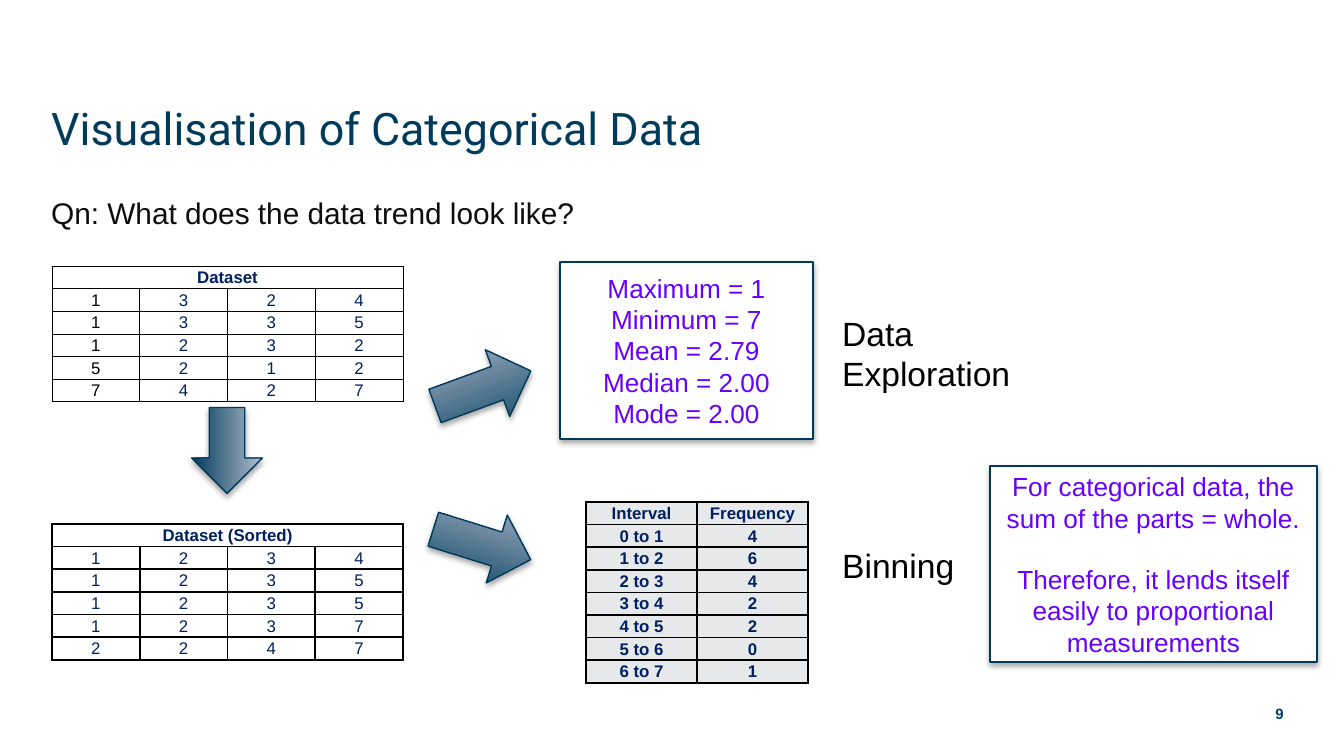
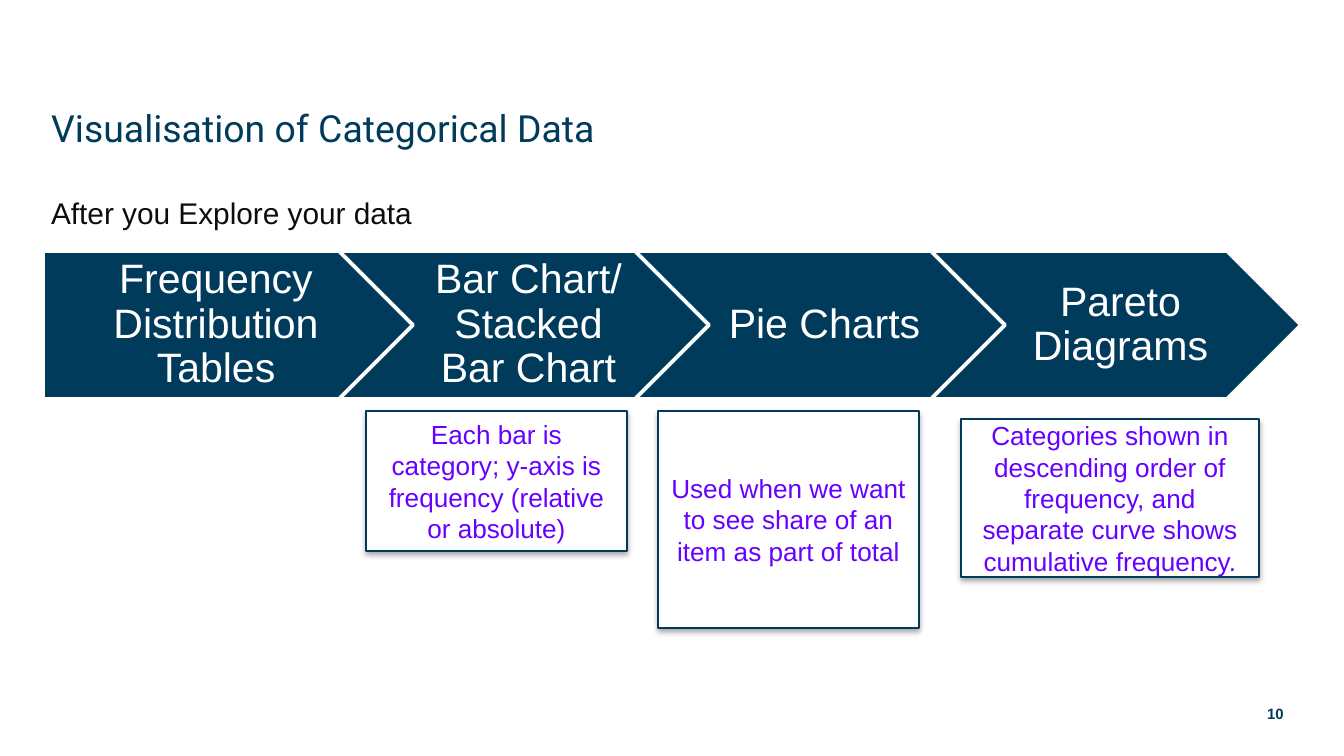
from dataclasses import dataclass

from lxml import etree
from pptx import Presentation
from pptx import util as u
from pptx.dml.color import RGBColor
from pptx.enum import shapes, text
from pptx.oxml import ns

SCALE = 914400 / 134.4


def px(length):
    return u.Emu(round(length * SCALE))


def add_xml(parent, tag, **attributes):
    return etree.SubElement(parent, ns.qn(tag), attributes)


@dataclass(frozen=True)
class Theme:
    brand: str = "003B5C"
    outline: str = "003A5A"
    mist: str = "B3BDCE"
    ink: str = "0D0D0D"
    black: str = "000000"
    white: str = "FFFFFF"
    navy: str = "002060"
    violet: str = "6600FF"
    grey: str = "E7E8EA"
    body_font: str = "Arial"
    title_font: str = "Roboto"
    number_size: int = 8
    cell_size: int = 9
    callout_size: int = 14
    lead_size: int = 16
    label_size: int = 18
    small_title_size: int = 20
    step_size: int = 22
    title_size: int = 24


THEME = Theme()
SHAPE = shapes.MSO_SHAPE
ALIGN = text.PP_ALIGN
ANCHOR = text.MSO_ANCHOR


class SlideBuilder:
    def __init__(self, deck, theme):
        self.deck = deck
        self.theme = theme
        self.page = None

    def start(self, number, title, title_size, lead):
        theme = self.theme
        self.page = self.deck.slides.add_slide(self.deck.slide_layouts[6])
        self.text((1008, 694, 289, 40), [str(number)], theme.number_size, theme.brand,
                  bold=True, align=ALIGN.RIGHT, frame={"vertical_anchor": ANCHOR.MIDDLE})
        self.text((38, 67, 1259, 121), [title], title_size, theme.brand,
                  font=theme.title_font, frame={"vertical_anchor": ANCHOR.MIDDLE})
        self.text((38, 188, 1259, 43), [lead], theme.lead_size, theme.ink)

    def add_lines(self, frame, lines, size, color, font=None, bold=False, **paragraph):
        for index, line in enumerate(lines):
            para = frame.add_paragraph() if index else frame.paragraphs[0]
            for name, value in paragraph.items():
                if name != "space_before" or index:
                    setattr(para, name, value)
            span = para.add_run()
            span.text = line
            style = {"name": font or self.theme.body_font, "size": u.Pt(size), "bold": bold}
            for name, value in style.items():
                setattr(span.font, name, value)
            span.font.color.rgb = RGBColor.from_string(color)

    def text(self, place, lines, size, color, align=ALIGN.LEFT, frame=None, **style):
        box = self.page.shapes.add_textbox(*map(px, place))
        for name, value in ({"word_wrap": True} | (frame or {})).items():
            setattr(box.text_frame, name, value)
        self.add_lines(box.text_frame, lines, size, color, alignment=align, **style)

    def label(self, place, lines):
        self.text(place, lines, self.theme.label_size, self.theme.black,
                  frame={"word_wrap": False, "auto_size": text.MSO_AUTO_SIZE.SHAPE_TO_FIT_TEXT})

    def shape(self, kind, place, fill, line, weight):
        box = self.page.shapes.add_shape(kind, *map(px, place))
        box.shadow.inherit = False
        box.fill.solid()
        box.fill.fore_color.rgb = RGBColor.from_string(fill)
        box.line.color.rgb = RGBColor.from_string(line)
        box.line.width = u.Pt(weight)
        return box

    def raised(self, kind, place):
        box = self.shape(kind, place, self.theme.white, self.theme.outline, 0.75)
        effects = box._element.spPr.find(ns.qn("a:effectLst"))
        shadow = add_xml(effects, "a:outerShdw", blurRad="40000", dist="23000",
                         dir="5400000", rotWithShape="0")
        tint = add_xml(shadow, "a:srgbClr", val=self.theme.black)
        add_xml(tint, "a:alpha", val="35000")
        return box

    def callout(self, place, lines, gap=0):
        frame = self.raised(SHAPE.RECTANGLE, place).text_frame
        for name, value in {"word_wrap": True, "vertical_anchor": ANCHOR.MIDDLE}.items():
            setattr(frame, name, value)
        self.add_lines(frame, lines, self.theme.callout_size, self.theme.violet,
                       alignment=ALIGN.CENTER, space_before=u.Pt(gap))

    def arrow(self, place, rotation):
        box = self.raised(SHAPE.RIGHT_ARROW, place)
        box.rotation = rotation
        box.fill.gradient()
        box.fill.gradient_angle = 90
        for stop, color in zip(box.fill.gradient_stops, (self.theme.brand, self.theme.mist)):
            stop.color.rgb = RGBColor.from_string(color)

    def step(self, kind, place, line):
        box = self.shape(kind, place, self.theme.brand, self.theme.white, 2)
        inset = 17 if kind == SHAPE.PENTAGON else 13
        settings = {"word_wrap": True, "vertical_anchor": ANCHOR.MIDDLE,
                    "margin_left": px(inset), "margin_right": px(4),
                    "margin_top": px(8), "margin_bottom": px(8)}
        for name, value in settings.items():
            setattr(box.text_frame, name, value)
        self.add_lines(box.text_frame, [line], self.theme.step_size, self.theme.white,
                       alignment=ALIGN.CENTER, line_spacing=0.9)

    def border(self, cell, weight):
        properties = cell._tc.get_or_add_tcPr()
        for side in ("a:lnL", "a:lnR", "a:lnT", "a:lnB"):
            edge = add_xml(properties, side, w=str(int(u.Pt(weight))))
            add_xml(add_xml(edge, "a:solidFill"), "a:srgbClr", val=self.theme.black)

    def table(self, place, rows, fill, weight, title=None, bold=False, first_color=None):
        theme = self.theme
        width = len(rows[0])
        if title:
            rows = [[title] + [""] * (width - 1)] + rows
        grid = self.page.shapes.add_table(len(rows), width, *map(px, place)).table
        for name in ("first_row", "horz_banding"):
            setattr(grid, name, False)
        for column in grid.columns:
            column.width = px(place[2] / width)
        settings = {"vertical_anchor": ANCHOR.MIDDLE, "margin_left": px(1),
                    "margin_right": px(1), "margin_top": px(1), "margin_bottom": 0}
        for r, values in enumerate(rows):
            grid.rows[r].height = px(place[3] / len(rows))
            for c, value in enumerate(values):
                cell = grid.cell(r, c)
                for name, setting in settings.items():
                    setattr(cell, name, setting)
                self.border(cell, weight)
                cell.fill.solid()
                cell.fill.fore_color.rgb = RGBColor.from_string(fill)
                heading = title and r == 0
                color = first_color if first_color and c == 0 and not heading else theme.navy
                if value:
                    self.add_lines(cell.text_frame, [value], theme.cell_size, color,
                                   bold=bool(bold or heading), alignment=ALIGN.CENTER)
        if title:
            grid.cell(0, 0).merge(grid.cell(0, width - 1))


TITLE = "Visualisation of Categorical Data"
DATASET = ["1324", "1335", "1232", "5212", "7427"]
SORTED_DATASET = ["1234", "1235", "1235", "1237", "2247"]
FREQUENCIES = [4, 6, 4, 2, 2, 0, 1]
STEPS = ["Frequency Distribution Tables", "Bar Chart/ Stacked Bar Chart",
         "Pie Charts", "Pareto Diagrams"]


def build_exploration(builder):
    theme = builder.theme
    builder.start(9, TITLE, theme.title_size, "Qn: What does the data trend look like?")
    builder.callout((990, 466, 327, 196),
                    ["For categorical data, the sum of the parts = whole.",
                     "Therefore, it lends itself easily to proportional measurements"], gap=16)
    builder.table((52, 266, 351, 136), [list(row) for row in DATASET], theme.white, 0.5,
                  title="Dataset", first_color=theme.black)
    builder.table((52, 524, 351, 136), [list(row) for row in SORTED_DATASET], theme.white, 1,
                  title="Dataset (Sorted)")
    intervals = [[f"{low} to {low + 1}", str(count)] for low, count in enumerate(FREQUENCIES)]
    builder.table((586, 502, 222, 181), [["Interval", "Frequency"]] + intervals,
                  theme.grey, 1, bold=True)
    builder.arrow((184, 415, 86, 71), 90)
    builder.arrow((432, 353, 102, 71), 339.9)
    builder.arrow((431, 509, 102, 71), 17.3)
    builder.callout((560, 262, 253, 177),
                    ["Maximum = 1", "Minimum = 7", "Mean = 2.79",
                     "Median = 2.00", "Mode = 2.00"])
    builder.label((829, 306, 196, 95), ["Data", "Exploration"])
    builder.label((829, 538, 140, 54), ["Binning"])


def build_chart_choices(builder):
    builder.start(10, TITLE, builder.theme.small_title_size, "After you Explore your data")
    for index, line in enumerate(STEPS):
        kind = SHAPE.CHEVRON if index else SHAPE.PENTAGON
        builder.step(kind, (43 + 296 * index, 251, 370, 148), line)
    builder.callout((658, 411, 261, 217),
                    ["Used when we want to see share of an item as part of total"])
    builder.callout((366, 411, 261, 140),
                    ["Each bar is category; y-axis is frequency (relative or absolute)"])
    builder.callout((961, 419, 298, 158),
                    ["Categories shown in descending order of frequency, "
                     "and separate curve shows cumulative frequency."])


def main():
    deck = Presentation()
    deck.slide_width = px(1344)
    deck.slide_height = px(756)
    builder = SlideBuilder(deck, THEME)
    build_exploration(builder)
    build_chart_choices(builder)
    deck.save("out.pptx")


if __name__ == "__main__":
    main()
